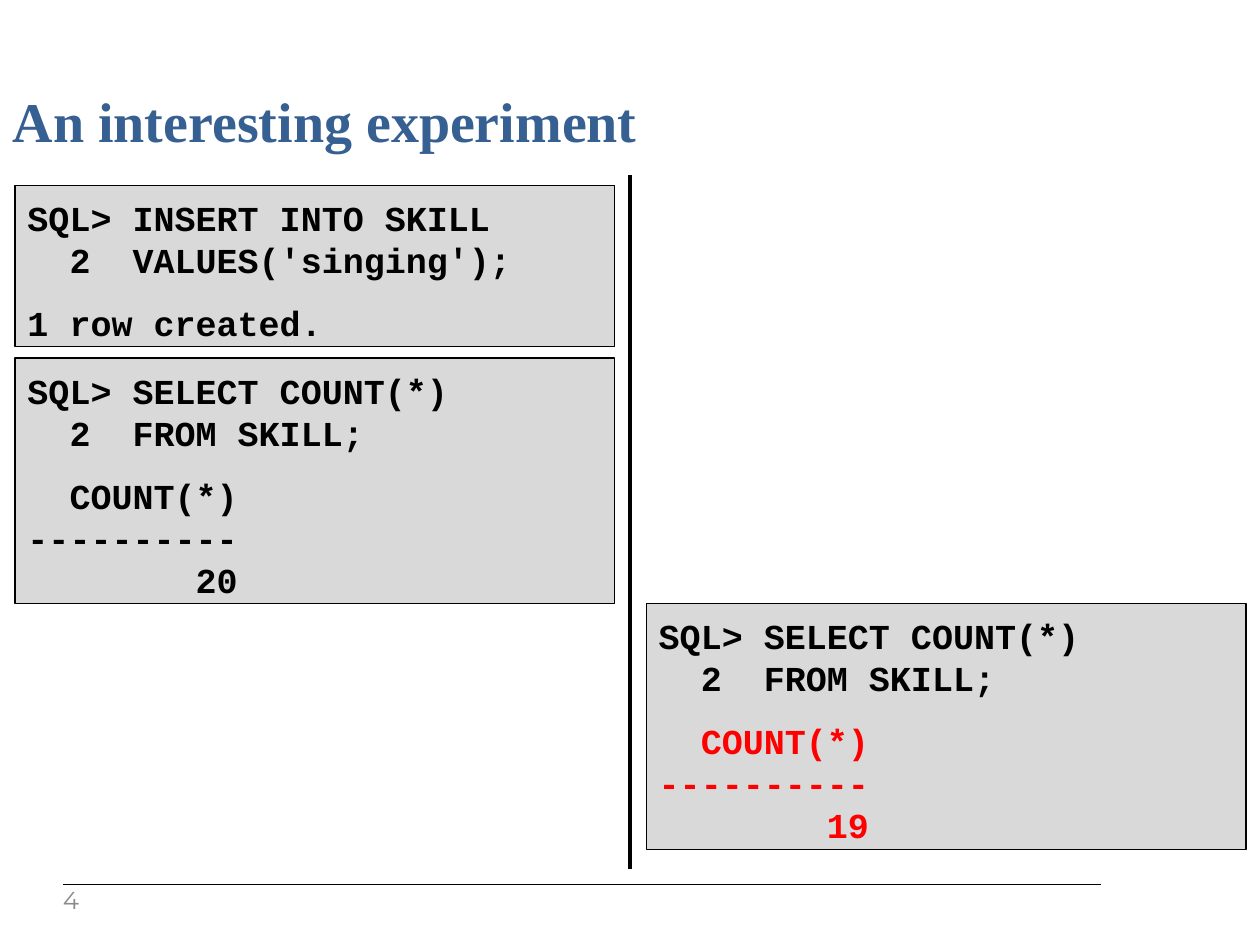
import pptx
import pptx.dml.color
import pptx.enum.shapes
import pptx.enum.text
import pptx.oxml
import pptx.util

Inches = pptx.util.Inches
Pt = pptx.util.Pt
ANCHOR = pptx.enum.text.MSO_ANCHOR
ALIGN = pptx.enum.text.PP_ALIGN

COLORS = {
    "title": "376092",
    "code": "000000",
    "highlight": "FF0000",
    "panel": "D9D9D9",
    "line": "000000",
    "number": "8B8B8B",
}
PANEL_WIDTH = 4.76
LEFT_PANEL, RIGHT_PANEL = 0.12, 5.13
COUNT_QUERY = ["SQL> SELECT COUNT(*)", "  2  FROM SKILL;"]
COUNT_HEADING = ["  COUNT(*)", "----------"]


def color(name):
    return pptx.dml.color.RGBColor.from_string(COLORS[name])


def format_paragraph(paragraph, font_name, size, color_name, bold=False):
    paragraph.alignment = ALIGN.LEFT
    for run in paragraph.runs:
        run.font.name = font_name
        run.font.size = Pt(size)
        run.font.bold = bold
        run.font.color.rgb = color(color_name)


def set_margins(text_frame, left, top, right, bottom):
    text_frame.margin_left = Inches(left)
    text_frame.margin_top = Inches(top)
    text_frame.margin_right = Inches(right)
    text_frame.margin_bottom = Inches(bottom)


def add_line(slide, left, top, right, bottom, width):
    connector = slide.shapes.add_connector(
        pptx.enum.shapes.MSO_CONNECTOR.STRAIGHT,
        Inches(left), Inches(top), Inches(right), Inches(bottom))
    connector.line.color.rgb = color("line")
    connector.line.width = Pt(width)
    properties = connector._element.spPr
    properties.append(pptx.oxml.parse_xml(
        '<a:effectLst xmlns:a="http://schemas.openxmlformats.org/drawingml/2006/main"/>'))


def add_title(slide, text, left, top, width, height):
    title = slide.shapes.title
    title.left, title.top = Inches(left), Inches(top)
    title.width, title.height = Inches(width), Inches(height)
    text_frame = title.text_frame
    text_frame.text = text
    text_frame.vertical_anchor = ANCHOR.MIDDLE
    set_margins(text_frame, 0.1, 0.05, 0.1, 0.05)
    format_paragraph(text_frame.paragraphs[0], "Times New Roman", 32, "title", True)


def add_code_panel(slide, command, result, left, top, width, height, result_color="code"):
    panel = slide.shapes.add_shape(
        pptx.enum.shapes.MSO_SHAPE.RECTANGLE,
        Inches(left), Inches(top), Inches(width), Inches(height))
    panel.shadow.inherit = False
    panel.fill.solid()
    panel.fill.fore_color.rgb = color("panel")
    panel.line.color.rgb = color("line")
    panel.line.width = Pt(0.75)
    text_frame = panel.text_frame
    text_frame.word_wrap = True
    text_frame.vertical_anchor = ANCHOR.TOP
    set_margins(text_frame, 0.1, 0.09, 0.1, 0.02)
    text_frame.text = "\n".join(command + result)
    for index, paragraph in enumerate(text_frame.paragraphs):
        color_name = "code" if index < len(command) else result_color
        format_paragraph(paragraph, "Courier New", 20, color_name, True)
        paragraph.line_spacing = Pt(24)
        paragraph.space_before = Pt(12 if index == len(command) else 0)


def add_footer(slide, number, left, top, width):
    add_line(slide, left, top, left + width, top, 0.75)
    box = slide.shapes.add_textbox(
        Inches(left), Inches(top + 0.04), Inches(0.4), Inches(0.21))
    text_frame = box.text_frame
    text_frame.word_wrap = True
    text_frame.vertical_anchor = ANCHOR.MIDDLE
    set_margins(text_frame, 0, 0, 0.1, 0.05)
    text_frame.text = number
    format_paragraph(text_frame.paragraphs[0], "Montserrat", 14, "number")


def main():
    presentation = pptx.Presentation()
    presentation.slide_width = Inches(10)
    presentation.slide_height = Inches(7.5)
    slide = presentation.slides.add_slide(presentation.slide_layouts[5])

    add_title(slide, "An interesting experiment", 0, 0.62, 10, 0.67)
    add_line(slide, 5, 1.39, 5, 6.9, 2.25)
    add_code_panel(
        slide, ["SQL> INSERT INTO SKILL", "  2  VALUES('singing');"],
        ["1 row created."], LEFT_PANEL, 1.47, PANEL_WIDTH, 1.28)
    add_code_panel(
        slide, COUNT_QUERY, COUNT_HEADING + ["        20"],
        LEFT_PANEL, 2.84, PANEL_WIDTH, 1.95)
    add_code_panel(
        slide, COUNT_QUERY, COUNT_HEADING + ["        19"],
        RIGHT_PANEL, 4.79, PANEL_WIDTH, 1.95, "highlight")
    add_footer(slide, "4", 0.5, 7.02, 8.24)

    presentation.save("out.pptx")


if __name__ == "__main__":
    main()
